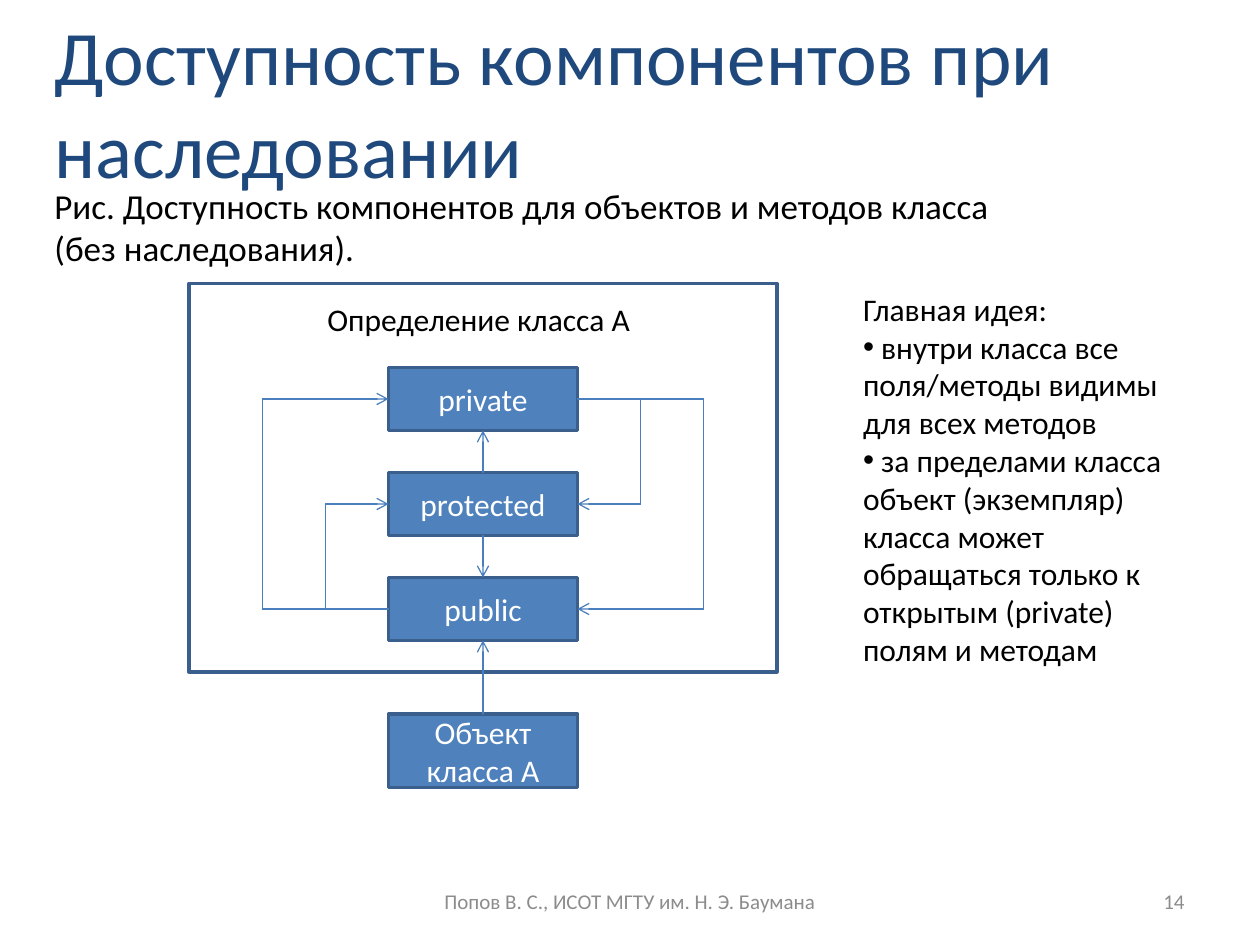
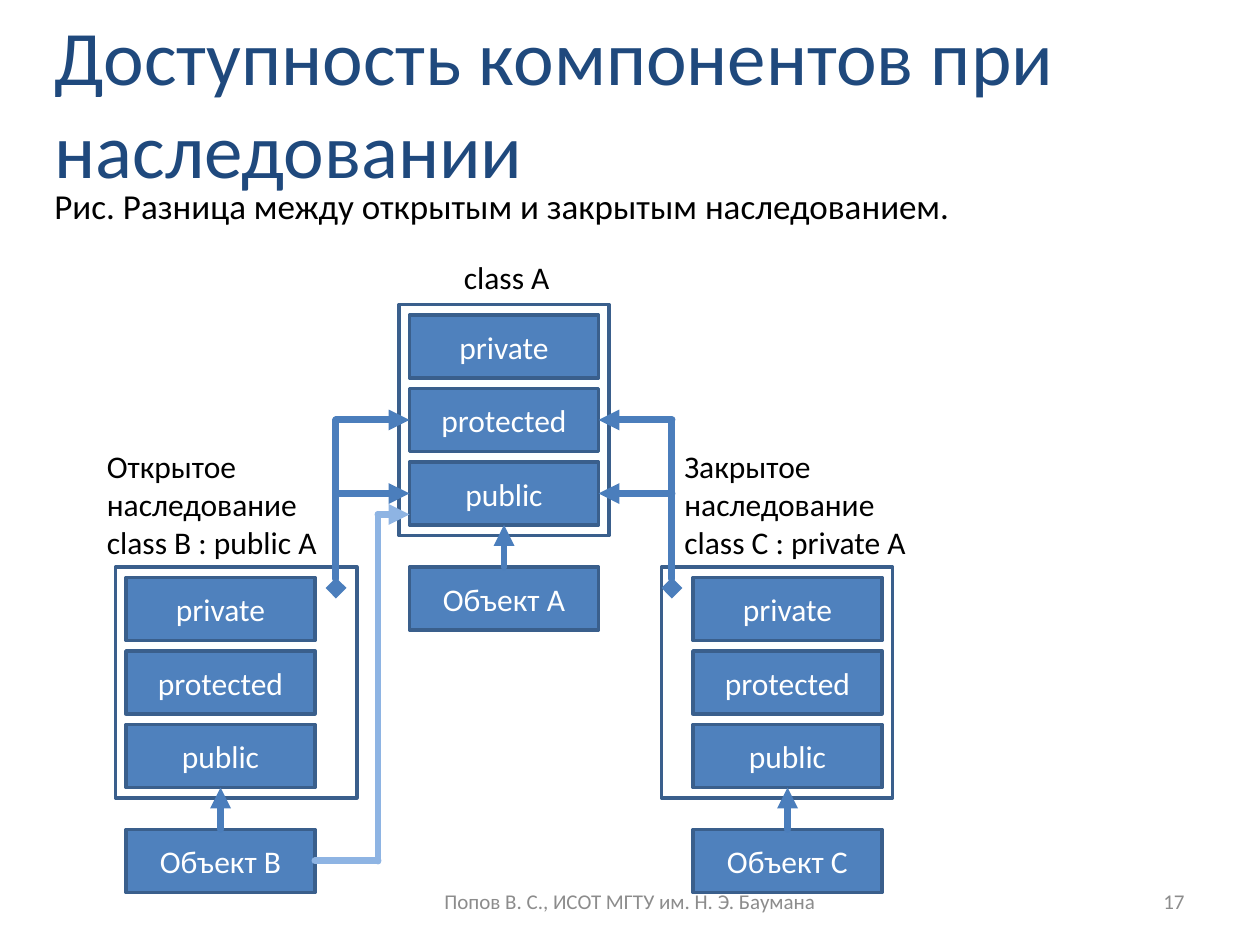
from lxml.etree import SubElement
from pptx import Presentation
from pptx.dml.color import RGBColor
from pptx.enum.shapes import MSO_CONNECTOR as Link, MSO_SHAPE as Shape
from pptx.enum.text import MSO_ANCHOR as Anchor, MSO_AUTO_SIZE as Fit, PP_ALIGN as Align
from pptx.oxml.ns import qn
from pptx.util import Pt

PX = 7620  # EMU per px, 120 px to the inch
FONT = "Calibri"
NAVY = RGBColor(0x1F, 0x49, 0x7D)
BLUE = RGBColor(0x4F, 0x81, 0xBD)
EDGE = RGBColor(0x3A, 0x5F, 0x8C)
WIRE = RGBColor(0x4B, 0x7E, 0xBC)
PALE = RGBColor(0x8E, 0xB4, 0xE3)
GRAY = RGBColor(0x8C, 0x8C, 0x8C)
BLACK = RGBColor(0, 0, 0)
WHITE = RGBColor(255, 255, 255)

TITLE = "Доступность компонентов при наследовании"
FOOTER = "Попов В. С., ИСОТ МГТУ им. Н. Э. Баумана"
ACCESS = ("private", "protected", "public")
BOX_W, BOX_H = 180, 60
TOP, LEFT, BOTTOM, RIGHT = range(4)


def place(shape, x, y, w, h):
    shape.left, shape.top, shape.width, shape.height = (v * PX for v in (x, y, w, h))


def write(shape, lines, size, color, align=Align.LEFT, anchor=Anchor.TOP):
    """Put one paragraph per line into the shape, all in one style."""
    frame = shape.text_frame
    frame.word_wrap = True
    frame.auto_size = Fit.NONE
    frame.vertical_anchor = anchor
    for i, line in enumerate(lines):
        par = frame.add_paragraph() if i else frame.paragraphs[0]
        par.text = line
        par.alignment = align
        par.font.name = FONT
        par.font.size = Pt(size)
        par.font.color.rgb = color


def label(slide, spot, lines, size=18, color=BLACK, **style):
    area = slide.shapes.add_textbox(*(v * PX for v in spot))
    write(area, lines, size, color, **style)


def box(slide, x, y, w=BOX_W, h=BOX_H, text="", fill=BLUE):
    rect = slide.shapes.add_shape(Shape.RECTANGLE, *(v * PX for v in (x, y, w, h)))
    rect.shadow.inherit = False
    rect.fill.solid()
    rect.fill.fore_color.rgb = fill
    rect.line.color.rgb = EDGE
    rect.line.width = Pt(2)
    if text:
        write(rect, [text], 18, WHITE, Align.CENTER, Anchor.MIDDLE)
    return rect


def stack(slide, x, y, step):
    """Draw the three access levels, one under another."""
    return [box(slide, x, y + i * step, text=name) for i, name in enumerate(ACCESS)]


def spot_of(stop):
    """Give the EMU point of a stop: (x, y) in px or (rectangle, side)."""
    where, side = stop
    if isinstance(where, int):
        return where * PX, side * PX
    dx, dy = ((1, 0), (0, 1), (1, 2), (2, 1))[side]
    return where.left + where.width * dx // 2, where.top + where.height * dy // 2


def wire(slide, *stops, color=WIRE, width=0.75, head=None, tail="arrow"):
    """Draw straight lines from stop to stop, with heads at the two ends."""
    last = len(stops) - 2
    for i, (start, end) in enumerate(zip(stops, stops[1:])):
        part = slide.shapes.add_connector(Link.STRAIGHT, *spot_of(start), *spot_of(end))
        if not isinstance(start[0], int):
            part.begin_connect(*start)
        if not isinstance(end[0], int):
            part.end_connect(*end)
        part.line.color.rgb = color
        part.line.width = Pt(width)
        props = part._element.spPr
        line = props.find(qn("a:ln"))
        line.set("cap", "rnd")
        if head and i == 0:
            SubElement(line, qn("a:headEnd"), type=head)
        if tail and i == last:
            SubElement(line, qn("a:tailEnd"), type=tail)
        SubElement(props, qn("a:effectLst"))


def start(deck, layout, number, caption):
    """Add a slide with the shared title, footer, number and caption."""
    slide = deck.slides.add_slide(deck.slide_layouts[layout])
    place(slide.shapes.title, 40, 0, 980, 193)
    write(slide.shapes.title, [TITLE], 44, NAVY, anchor=Anchor.MIDDLE)
    label(slide, (860, 834, 280, 48), [number], 12, GRAY,
          align=Align.RIGHT, anchor=Anchor.MIDDLE)
    label(slide, (410, 834, 380, 48), [FOOTER], 12, GRAY,
          align=Align.CENTER, anchor=Anchor.MIDDLE)
    label(slide, (40, 170, 1120, 92), [caption], 20)
    return slide


def ideas(body, lines):
    """Fill the body: a plain heading, then bulleted points."""
    place(body, 810, 270, 350, 376)
    write(body, lines, 18, BLACK)
    for i, par in enumerate(body.text_frame.paragraphs):
        par.space_before = Pt(0)
        props = par._p.get_or_add_pPr()
        props.set("marL", "0")
        props.set("indent", "0")
        mark = props.makeelement(qn("a:buChar"), {"char": "•"}) if i else \
            props.makeelement(qn("a:buNone"), {})
        props.find(qn("a:defRPr")).addprevious(mark)


def draw_access(deck):
    slide = start(deck, 1, "14", "Рис. Доступность компонентов для объектов и "
                  "методов класса\n(без наследования).")
    ideas(slide.placeholders[1], [
        "Главная идея:",
        " внутри класса все поля/методы видимы для всех методов",
        " за пределами класса объект (экземпляр) класса может обращаться "
        "только к открытым (private) полям и методам"])

    # Class with its three levels, and an object outside
    box(slide, 180, 270, 560, 370, fill=WHITE)
    label(slide, (300, 280, 320, 48), ["Определение класса A"])
    priv, prot, pub = stack(slide, 370, 350, 100)
    thing = box(slide, 370, 680, h=70, text="Объект класса A")

    # Access paths round the sides
    for side, far, near, y1, y2, src, dst in (
            (LEFT, 250, 310, 580, 380, pub, priv),
            (RIGHT, 670, 610, 380, 580, priv, pub)):
        wire(slide, (src, side), (far, y1), (far, y2), (dst, side))
        wire(slide, (near, y1), (near, 480), (prot, side))

    # Access paths up and down
    wire(slide, (prot, TOP), (priv, BOTTOM))
    wire(slide, (prot, BOTTOM), (pub, TOP))
    wire(slide, (thing, TOP), (pub, BOTTOM))


def draw_heirs(deck):
    slide = start(deck, 5, "17",
                  "Рис. Разница между открытым и закрытым наследованием.")
    bold = {"width": 4, "tail": "triangle"}

    # Classes: frame left, top, width; levels left; object top and name
    made = []
    for x, y, w, col, low, name in ((380, 290, 200, 390, 540, "A"),
                                    (110, 540, 230, 120, 790, "B"),
                                    (630, 540, 220, 660, 790, "C")):
        box(slide, x, y, w, 220, fill=WHITE)
        levels = stack(slide, col, y + 10, 70)
        thing = box(slide, col, low, text=f"Объект {name}")
        wire(slide, (thing, TOP), (levels[-1], BOTTOM), **bold)
        made.append((levels, thing))

    # Inheritance from class A
    _, prot, pub = made[0][0]
    for x, side in ((320, LEFT), (640, RIGHT)):
        wire(slide, (x, 560), (x, 400), (prot, side), head="diamond", **bold)
        wire(slide, (x, 470), (pub, side), **bold)

    label(slide, (430, 240, 110, 48), ["class A"])
    label(slide, (90, 420, 230, 121), ["Открытое наследование", "class B : public A"])
    label(slide, (640, 420, 240, 121), ["Закрытое наследование", "class С : private A"])

    # Object B reaches the public part of A
    wire(slide, (made[1][1], RIGHT), (360, 820), (360, 490), (390, 490),
         color=PALE, **bold)


def main():
    deck = Presentation()
    deck.slide_width, deck.slide_height = 1200 * PX, 900 * PX
    draw_access(deck)
    draw_heirs(deck)
    deck.save("out.pptx")


if __name__ == "__main__":
    main()
